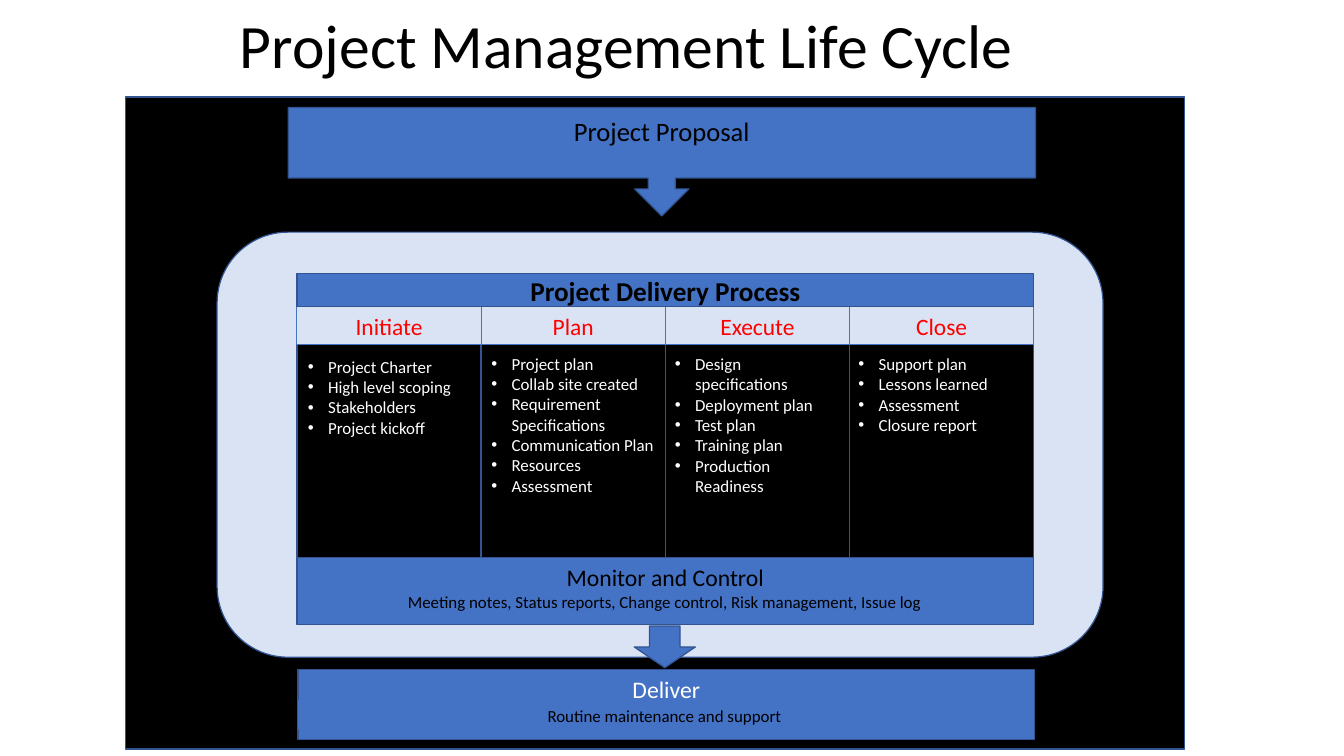
from dataclasses import dataclass
from typing import NamedTuple, Optional

import pptx
import pptx.dml.color
import pptx.enum.shapes
import pptx.enum.text
import pptx.oxml.xmlchemy
import pptx.util
from lxml import etree

Cm = pptx.util.Cm
Pt = pptx.util.Pt
Preset = pptx.enum.shapes.MSO_SHAPE
Anchor = pptx.enum.text.MSO_ANCHOR
Align = pptx.enum.text.PP_ALIGN


@dataclass(frozen=True)
class Theme:
    font: str = "Calibri"
    black: str = "000000"
    white: str = "FFFFFF"
    red: str = "FF0000"
    blue: str = "4472C4"
    pale: str = "DAE3F3"
    edge: str = "325491"
    title: float = 49.9
    banner: float = 22
    proposal: float = 21.5
    heading: float = 19.2
    phase: float = 19
    body: float = 13.7
    edge_width: float = 1
    thin_width: float = 0.75


class Area(NamedTuple):
    left: float
    top: float
    width: float
    height: float


class Label(NamedTuple):
    words: str
    size: float
    colour: str
    bold: bool = False
    anchor: Anchor = Anchor.TOP
    bottom_inset: float = 0.15


class Phase(NamedTuple):
    name: str
    list_top: float
    tasks: tuple[str, ...]


THEME = Theme()
TABLE_LEFT = 8.48
TABLE_WIDTH = 21.04
PHASE_WIDTH = TABLE_WIDTH / 4
PHASE_TOP = 8.76
PHASES = (
    Phase("Initiate", 10.03, ("Project Charter", "High level scoping", "Stakeholders",
                              "Project kickoff")),
    Phase("Plan", 9.94, ("Project plan", "Collab site created", "Requirement Specifications",
                         "Communication Plan", "Resources", "Assessment")),
    Phase("Execute", 9.95, ("Design specifications", "Deployment plan", "Test plan",
                            "Training plan", "Production Readiness")),
    Phase("Close", 9.95, ("Support plan", "Lessons learned", "Assessment", "Closure report")),
)


def rgb(colour: str) -> pptx.dml.color.RGBColor:
    return pptx.dml.color.RGBColor.from_string(colour)


def place(area: Area) -> list[pptx.util.Length]:
    return [Cm(length) for length in area]


def style_font(para, size: float, colour: str, bold: bool = False) -> None:
    para.font.name = THEME.font
    para.font.size = Pt(size)
    para.font.bold = bold
    para.font.color.rgb = rgb(colour)


def set_frame(frame, anchor: Anchor, bottom_inset: float = 0.15) -> None:
    frame.word_wrap = True
    frame.vertical_anchor = anchor
    frame.margin_left = frame.margin_right = Cm(0.29)
    frame.margin_top = Cm(0.15)
    frame.margin_bottom = Cm(bottom_inset)


def write_label(frame, label: Label):
    set_frame(frame, label.anchor, label.bottom_inset)
    para = frame.paragraphs[0]
    para.text = label.words
    para.alignment = Align.CENTER
    style_font(para, label.size, label.colour, label.bold)
    return para


def add_box(page, preset: Preset, area: Area, fill: str, edge: Optional[str] = THEME.edge,
            edge_width: float = THEME.edge_width, label: Optional[Label] = None) -> None:
    box = page.shapes.add_shape(preset, *place(area))
    box.shadow.inherit = False
    box.fill.solid()
    box.fill.fore_color.rgb = rgb(fill)
    if edge:
        box.line.color.rgb = rgb(edge)
        box.line.width = Pt(edge_width)
    else:
        box.line.fill.background()
    if label:
        write_label(box.text_frame, label)


def add_caption(page, area: Area, label: Label):
    return write_label(page.shapes.add_textbox(*place(area)).text_frame, label)


def add_bullets(page, area: Area, tasks: tuple[str, ...]) -> None:
    frame = page.shapes.add_textbox(*place(area)).text_frame
    set_frame(frame, Anchor.TOP)
    for index, task in enumerate(tasks):
        para = frame.add_paragraph() if index else frame.paragraphs[0]
        para.text = task
        style_font(para, THEME.body, THEME.white)
        properties = para._p.get_or_add_pPr()
        properties.set("marL", str(Cm(0.58)))
        properties.set("indent", str(Cm(-0.58)))
        for tag, key, value in (("a:buFont", "typeface", "Arial"), ("a:buChar", "char", "•")):
            etree.SubElement(properties, pptx.oxml.ns.qn(tag)).set(key, value)


def add_phase(page, index: int, phase: Phase) -> None:
    left = TABLE_LEFT + index * PHASE_WIDTH
    add_box(page, Preset.RECTANGLE, Area(left, PHASE_TOP, PHASE_WIDTH, 7.16), THEME.black)
    add_box(page, Preset.RECTANGLE, Area(left, PHASE_TOP, PHASE_WIDTH, 1.09), THEME.pale,
            THEME.blue, THEME.thin_width, Label(phase.name, THEME.phase, THEME.red))
    add_bullets(page, Area(8.5 + index * 5.24, phase.list_top, 5.23, 4), phase.tasks)


def main() -> None:
    deck = pptx.Presentation()
    deck.slide_width, deck.slide_height = Cm(38.38), Cm(21.59)
    page = deck.slides.add_slide(deck.slide_layouts[6])

    add_box(page, Preset.RECTANGLE, Area(3.58, 2.77, 30.25, 18.62), THEME.black)
    title = add_caption(page, Area(1.35, 0, 33.1, 2.79),
                        Label("Project Management Life Cycle", THEME.title, THEME.black,
                              anchor=Anchor.MIDDLE))
    title.line_spacing = 0.9
    add_box(page, Preset.ROUNDED_RECTANGLE, Area(6.2, 6.63, 25.3, 12.14), THEME.pale)

    for index, phase in enumerate(PHASES):
        add_phase(page, index, phase)

    add_box(page, Preset.RECTANGLE, Area(TABLE_LEFT, 15.92, TABLE_WIDTH, 1.91), THEME.blue,
            label=Label("Monitor and Control", THEME.heading, THEME.black))
    add_box(page, Preset.RECTANGLE, Area(TABLE_LEFT, 7.82, TABLE_WIDTH, 0.94), THEME.blue,
            label=Label("Project Delivery Process", THEME.banner, THEME.black, True,
                        Anchor.MIDDLE))
    add_box(page, Preset.DOWN_ARROW_CALLOUT, Area(8.23, 3.07, 21.34, 3.1), THEME.blue,
            label=Label("Project Proposal", THEME.proposal, THEME.black,
                        anchor=Anchor.MIDDLE, bottom_inset=0.8))
    add_box(page, Preset.DOWN_ARROW, Area(18.11, 17.88, 1.75, 1.19), THEME.blue)
    add_box(page, Preset.RECTANGLE, Area(8.51, 19.13, TABLE_WIDTH, 1.98), THEME.blue,
            label=Label("Deliver", THEME.heading, THEME.white))
    add_caption(page, Area(8.51, 16.74, 20.93, 0.84),
                Label("Meeting notes, Status reports, Change control, Risk management, Issue log",
                      THEME.body, THEME.black))
    add_box(page, Preset.RECTANGLE, Area(8.51, 19.99, 20.93, 0.84), THEME.blue, None,
            label=Label("Routine maintenance and support", THEME.body, THEME.black))

    deck.save("out.pptx")


if __name__ == "__main__":
    main()
